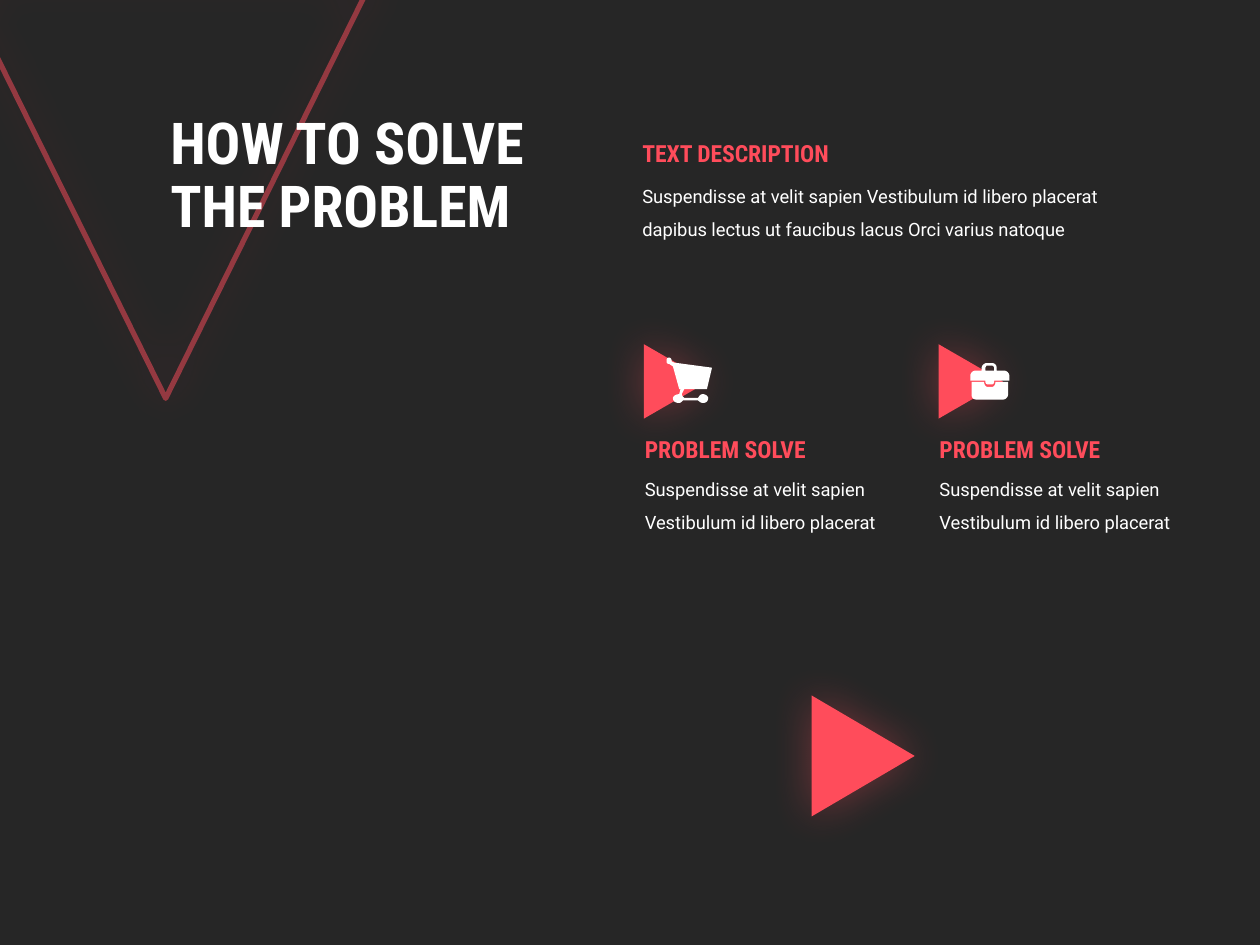
import dataclasses
import typing

import lxml.etree
import pptx
import pptx.dml.color
import pptx.enum.shapes
import pptx.enum.text
import pptx.oxml.ns
import pptx.util

Cm = pptx.util.Cm
Pt = pptx.util.Pt
qn = pptx.oxml.ns.qn
RGBColor = pptx.dml.color.RGBColor

DARK = RGBColor(0x26, 0x26, 0x26)
WHITE = RGBColor(0xFF, 0xFF, 0xFF)
CORAL = RGBColor(0xFF, 0x4C, 0x5B)

TITLE_FORMAT = {"name": "Roboto Condensed", "size": Pt(33), "bold": True}
HEADING_FORMAT = {"name": "Roboto Condensed", "size": Pt(13.5), "bold": True}
BODY_FORMAT = {"name": "Roboto", "size": Pt(10.5), "bold": False}

ICON_UNIT = 0.0254  # icon grid step in cm
CURVE_STEPS = 6

# Icon contours: a pair is a corner, six numbers are a Bezier curve
Contour = list[tuple[int, ...]]
CART: list[Contour] = [[
    (29, 29), (27, 29, 26, 30, 25, 32), (14, 32), (13, 31, 12, 30, 12, 29),
    (14, 25), (32, 25), (36, 8), (6, 4), (4, 3), (4, 1, 3, 0, 2, 0),
    (0, 0, 0, 1, 0, 3), (0, 4, 0, 5, 2, 5), (5, 7), (10, 25), (11, 25),
    (10, 29), (7, 29, 5, 31, 5, 32), (5, 35, 7, 36, 10, 36),
    (11, 36, 12, 35, 13, 34), (25, 34), (26, 35, 27, 36, 29, 36),
    (31, 36, 33, 35, 33, 32), (33, 31, 31, 29, 29, 29),
]]
CASE_BODY: list[Contour] = [[
    (17, 19), (14, 19), (12, 19, 11, 17, 11, 15), (1, 15), (1, 25),
    (1, 27, 2, 29, 5, 29), (26, 29), (28, 29, 30, 27, 30, 25), (30, 15),
    (20, 15), (20, 17, 19, 19, 17, 19),
]]
CASE_LID: list[Contour] = [
    [
        (27, 6), (21, 6), (21, 4), (21, 2, 20, 0, 17, 0), (13, 0),
        (11, 0, 9, 2, 9, 4), (9, 6), (4, 6), (2, 6, 0, 8, 0, 10), (0, 14),
        (12, 14), (12, 15), (12, 16, 13, 17, 14, 17), (17, 17),
        (18, 17, 19, 16, 19, 15), (19, 14), (31, 14), (31, 10),
        (31, 8, 29, 6, 27, 6),
    ],
    [(12, 4), (12, 3, 13, 2, 13, 2), (17, 2), (18, 2, 19, 3, 19, 4),
     (19, 6), (12, 6)],
]


@dataclasses.dataclass
class Box:
    left: float
    top: float
    width: float
    height: float

    def lengths(self) -> list[int]:
        return [Cm(value) for value in dataclasses.astuple(self)]


@dataclasses.dataclass
class Card:
    left: float
    icon_left: float
    icon_top: float
    icon: list[list[Contour]]


CARDS = [
    Card(12.75, 13.44, 7.21, [CART]),
    Card(18.69, 19.56, 7.32, [CASE_BODY, CASE_LID]),
]


def format_font(font: typing.Any, values: dict, color: RGBColor) -> None:
    for name, value in values.items():
        setattr(font, name, value)
    font.color.rgb = color


def set_alpha(color_element: typing.Any, percent: int) -> None:
    alpha = lxml.etree.SubElement(color_element, qn("a:alpha"))
    alpha.set("val", str(percent * 1000))


def add_text(slide: typing.Any, box: Box, text: str, values: dict,
             color: RGBColor, spacing: float = 1.0) -> None:
    shape = slide.shapes.add_textbox(*box.lengths())
    frame = shape.text_frame
    frame.word_wrap = True
    frame.auto_size = pptx.enum.text.MSO_AUTO_SIZE.SHAPE_TO_FIT_TEXT
    paragraph = frame.paragraphs[0]
    paragraph.text = text
    paragraph.line_spacing = spacing
    format_font(paragraph.runs[0].font, values, color)


def add_triangle(slide: typing.Any, box: Box, rotation: int,
                 outlined: bool = False) -> typing.Any:
    """Add a glowing triangle, either filled or only outlined."""
    shape = slide.shapes.add_shape(
        pptx.enum.shapes.MSO_SHAPE.ISOSCELES_TRIANGLE, *box.lengths())
    shape.rotation = rotation
    if outlined:
        shape.fill.background()
        shape.line.color.rgb = CORAL
        shape.line.width = Pt(3)
        line = shape.element.spPr.find(qn("a:ln"))
        set_alpha(line.find(".//" + qn("a:srgbClr")), 50)
    else:
        shape.fill.solid()
        shape.fill.fore_color.rgb = CORAL
        shape.line.fill.background()
    shape.shadow.inherit = False
    effects = shape.element.spPr.find(qn("a:effectLst"))
    shadow = lxml.etree.SubElement(effects, qn("a:outerShdw"))
    for name, value in {"blurRad": Pt(25), "dist": 0, "dir": 0,
                        "algn": "ctr", "rotWithShape": 0}.items():
        shadow.set(name, str(value))
    color = lxml.etree.SubElement(shadow, qn("a:srgbClr"))
    color.set("val", str(CORAL))
    set_alpha(color, 35)
    return shape


def trace(contour: Contour) -> list[tuple[float, float]]:
    """Turn corners and curves into the vertices of a polygon."""
    points: list[tuple[float, float]] = []
    for step in contour:
        if len(step) == 2:
            points.append((step[0], step[1]))
            continue
        controls = [points[-1], step[0:2], step[2:4], step[4:6]]
        for index in range(1, CURVE_STEPS + 1):
            t = index / CURVE_STEPS
            weights = [(1 - t) ** 3, 3 * t * (1 - t) ** 2,
                       3 * t ** 2 * (1 - t), t ** 3]
            points.append(tuple(
                sum(weight * control[axis]
                    for weight, control in zip(weights, controls))
                for axis in (0, 1)))
    return points


def add_icon_part(slide: typing.Any, left: float, top: float,
                  contours: list[Contour]) -> None:
    builder = None
    for contour in contours:
        vertices = [(Cm(left + x * ICON_UNIT), Cm(top + y * ICON_UNIT))
                    for x, y in trace(contour)]
        if builder is None:
            builder = slide.shapes.build_freeform(*vertices[0])
        else:
            builder.move_to(*vertices[0])
        builder.add_line_segments(vertices[1:], close=True)
    shape = builder.convert_to_shape()
    shape.fill.solid()
    shape.fill.fore_color.rgb = WHITE
    shape.line.fill.background()
    shape.shadow.inherit = False


def add_title(slide: typing.Any, box: Box, text: str) -> None:
    title = slide.shapes.title
    title.left, title.top, title.width, title.height = box.lengths()
    frame = title.text_frame
    frame.word_wrap = True
    frame.auto_size = pptx.enum.text.MSO_AUTO_SIZE.NONE
    frame.vertical_anchor = pptx.enum.text.MSO_ANCHOR.MIDDLE
    paragraph = frame.paragraphs[0]
    paragraph.text = text
    paragraph.alignment = pptx.enum.text.PP_ALIGN.LEFT
    paragraph.line_spacing = 0.9
    for run in paragraph.runs:
        format_font(run.font, TITLE_FORMAT, WHITE)


def main() -> None:
    presentation = pptx.Presentation()
    presentation.slide_width, presentation.slide_height = Cm(25.4), Cm(19.05)
    slide = presentation.slides.add_slide(presentation.slide_layouts[0])
    slide.background.fill.solid()
    slide.background.fill.fore_color.rgb = DARK
    subtitle = slide.placeholders[1].element
    subtitle.getparent().remove(subtitle)

    # Title over the large outlined triangle
    add_title(slide, Box(3.18, 1.57, 10.72, 4.01), "HOW TO SOLVE\vTHE PROBLEM")
    outline = add_triangle(slide, Box(-0.84, -0.43, 8.36, 8.46), 180, True)
    slide.shapes.title.element.addprevious(outline.element)

    # Description
    add_text(slide, Box(12.7, 3.38, 9.78, 1.52),
             "Suspendisse at velit sapien Vestibulum id libero placerat "
             "dapibus lectus ut faucibus lacus Orci varius natoque",
             BODY_FORMAT, WHITE, 1.5)
    add_text(slide, Box(12.7, 2.67, 4.67, 0.84), "TEXT DESCRIPTION",
             HEADING_FORMAT, CORAL)

    # Cards with icons
    for card in CARDS:
        add_triangle(slide, Box(card.left + 0.13, 7.04, 1.5, 1.3), 90)
        add_text(slide, Box(card.left, 9.3, 5.26, 1.52),
                 "Suspendisse at velit sapien Vestibulum id libero placerat",
                 BODY_FORMAT, WHITE, 1.5)
        add_text(slide, Box(card.left, 8.64, 4.22, 0.84), "PROBLEM SOLVE",
                 HEADING_FORMAT, CORAL)
        for part in card.icon:
            add_icon_part(slide, card.icon_left, card.icon_top, part)

    # Large triangle at the bottom
    add_triangle(slide, Box(16.18, 14.2, 2.44, 2.08), 90)
    presentation.save("out.pptx")


if __name__ == "__main__":
    main()
